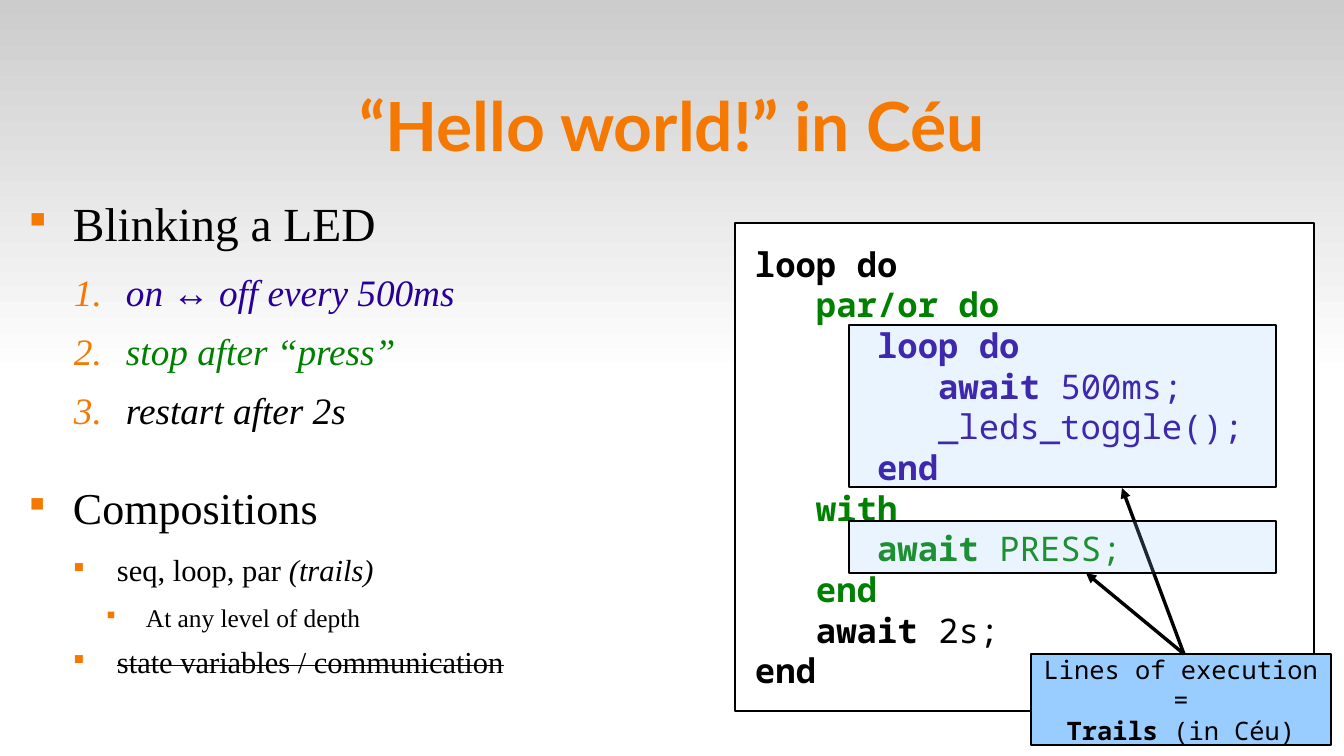
import lxml.etree
import pptx
import pptx.dml.color
import pptx.enum.shapes
import pptx.enum.text
import pptx.oxml.ns
import pptx.util

PX = 914400 / 122
COLORS = {
    "black": "000000", "white": "FFFFFF", "grey": "CCCCCC", "orange": "F57900",
    "blue": "99CCFF", "indigo": "280099", "green": "008000",
}
RGB = {name: pptx.dml.color.RGBColor.from_string(code) for name, code in COLORS.items()}
MIDDLE = pptx.enum.text.MSO_ANCHOR.MIDDLE
CENTER = pptx.enum.text.PP_ALIGN.CENTER
MONO, SERIF = "Noto Sans Mono", "Times New Roman"
qn = pptx.oxml.ns.qn

deck = pptx.Presentation()
deck.slide_width, deck.slide_height = round(1344 * PX), round(756 * PX)
page = deck.slides.add_slide(deck.slide_layouts[6])


def add_box(left, top, width, height, fill=None, inset=0, anchor=MIDDLE):
    """Add a hairline rectangle, or a bare text box when there is no fill."""
    place = [round(length * PX) for length in (left, top, width, height)]
    if fill:
        box = page.shapes.add_shape(pptx.enum.shapes.MSO_SHAPE.RECTANGLE, *place)
        box.shadow.inherit = False
        box.fill.solid()
        box.fill.fore_color.rgb = RGB[fill]
        box.line.color.rgb = RGB["black"]
        box.line.width = 0
    else:
        box = page.shapes.add_textbox(*place)
    frame = box.text_frame
    settings = {"word_wrap": True, "vertical_anchor": anchor, "margin_left": round(inset * PX),
                "margin_right": 0, "margin_top": 0, "margin_bottom": 0}
    for key, value in settings.items():
        setattr(frame, key, value)
    return box


def add_para(box, number, spans, color, align=None, **base):
    """Fill paragraph number of a box with (text, format) spans."""
    frame = box.text_frame
    para = frame.add_paragraph() if number else frame.paragraphs[0]
    para.alignment = align or pptx.enum.text.PP_ALIGN.LEFT
    for text, extra in spans:
        span = para.add_run()
        span.text = text
        for key, value in {**base, **extra}.items():
            setattr(span.font, key, value)
        span.font.color.rgb = RGB[color]
    return para


# Background fade
fade = add_box(0, 0, 1344, 378, "white")
fade.line.fill.background()
fade.fill.gradient()
fade.fill.gradient_angle = 270
for stop, color, position in zip(fade.fill.gradient_stops, ("grey", "white"), (0, 1)):
    stop.color.rgb = RGB[color]
    stop.position = position

# Title
title = add_box(67, 40, 1210, 168)
add_para(title, 0, [("“Hello world!” in Céu", {})], "orange", CENTER,
         size=pptx.util.Pt(40), name="Lato", bold=True)

# Code listing: color and (text, bold) parts of each line
B, N = {"bold": True}, {"bold": False}
code_lines = [
    ("black", [("loop do", B)]),
    ("green", [("   par/or do", B)]),
    ("indigo", [("      loop do", B)]),
    ("indigo", [("         await", B), (" 500ms;", N)]),
    ("indigo", [("         _leds_toggle();", N)]),
    ("indigo", [("      end", B)]),
    ("green", [("   with", B)]),
    ("green", [("      await", B), (" PRESS;", N)]),
    ("green", [("   end", B)]),
    ("black", [("   await", B), (" 2s;", N)]),
    ("black", [("end", B)]),
]
code = add_box(735, 223, 579, 488, "white", inset=20)
for number, (color, spans) in enumerate(code_lines):
    add_para(code, number, spans, color, size=pptx.util.Pt(20), name=MONO)

# Outline: level name -> left margin px, hanging px, space after pt, numbered
levels = {
    "head": (43, 43, 10.6, False),
    "step": (96, 52, 8.5, True),
    "point": (87, 43, 8.5, False),
    "detail": (116, 39, 6.3, False),
}
I = {"italic": True}
outline_items = [
    ("head", 28, "black", [("Blinking a LED", {})]),
    ("step", 22, "indigo", [("on", I), (" ↔ ", {}), ("off every 500ms", I)]),
    ("step", 22, "green", [("stop after “press”", I)]),
    ("step", 22, "black", [("restart after 2s", I)]),
    ("head", 26, "black", [("Compositions", {})]),
    ("point", 18, "black", [("seq, loop, par ", {}), ("(trails)", I)]),
    ("detail", 15, "black", [("At any level of depth", {})]),
    ("point", 18, "black", [("state variables / communication", {})]),
]
outline = add_box(30, 194, 690, 530, anchor=pptx.enum.text.MSO_ANCHOR.TOP)
for number, (level, size, color, spans) in enumerate(outline_items):
    margin, hanging, after, numbered = levels[level]
    para = add_para(outline, number, spans, color, size=pptx.util.Pt(size), name=SERIF)
    props = para._p.get_or_add_pPr()
    props.set("marL", str(round(margin * PX)))
    props.set("indent", str(round(-hanging * PX)))
    tint = lxml.etree.SubElement(props, qn("a:buClr"))
    lxml.etree.SubElement(tint, qn("a:srgbClr"), val=COLORS["orange"])
    if numbered:
        lxml.etree.SubElement(props, qn("a:buAutoNum"), type="arabicPeriod")
    else:
        lxml.etree.SubElement(props, qn("a:buSzPct"), val="45000")
        lxml.etree.SubElement(props, qn("a:buChar"), char="■")
    para.space_after = pptx.util.Pt(after)
    if level == "head" and number:
        para.space_before = pptx.util.Pt(20)
para.runs[0].font._element.set("strike", "sngStrike")

# Callout
callout = add_box(1031, 654, 300, 91, "blue")
callout_lines = [[("Lines of execution", N)], [("=", N)], [("Trails", B), (" (in Céu)", N)]]
for number, spans in enumerate(callout_lines):
    add_para(callout, number, spans, "black", CENTER, size=pptx.util.Pt(15), name=MONO)

# Arrows from the callout to both trails
for tip in ((1086, 573), (1122, 488)):
    ends = [round(length * PX) for length in (1184, 654, *tip)]
    arrow = page.shapes.add_connector(pptx.enum.shapes.MSO_CONNECTOR.STRAIGHT, *ends)
    arrow.line.color.rgb = RGB["black"]
    arrow.line.width = 0
    lxml.etree.SubElement(arrow.line._get_or_add_ln(), qn("a:tailEnd"), type="triangle")
    lxml.etree.SubElement(arrow._element.spPr, qn("a:effectLst"))

# Translucent highlights over the trails
for top, height in ((325, 162), (521, 52)):
    trail = add_box(849, top, 427, height, "blue")
    tint = trail.fill._xPr.find(qn("a:solidFill"))[0]
    lxml.etree.SubElement(tint, qn("a:alpha"), val="20000")

deck.save("out.pptx")
